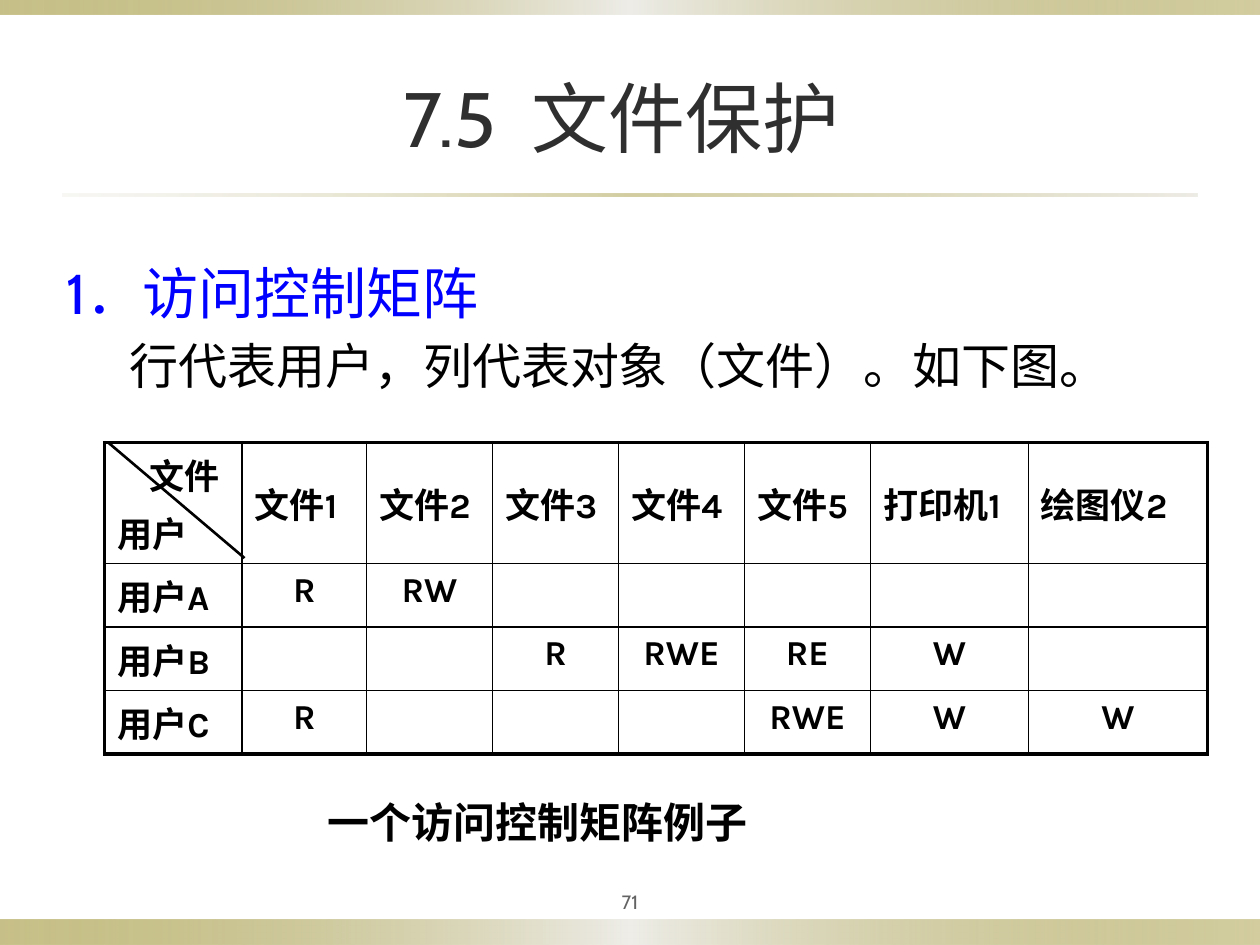
from pptx import Presentation
from pptx.dml.color import RGBColor
from pptx.enum.shapes import MSO_CONNECTOR, MSO_SHAPE
from pptx.enum.text import MSO_ANCHOR, MSO_AUTO_SIZE, PP_ALIGN
from pptx.oxml import parse_xml
from pptx.oxml.ns import nsdecls
from pptx.util import Cm, Pt
from lxml import etree

LEFT, CENTER = PP_ALIGN.LEFT, PP_ALIGN.CENTER
TOP, MIDDLE = MSO_ANCHOR.TOP, MSO_ANCHOR.MIDDLE
RECT, LINE = MSO_SHAPE.RECTANGLE, MSO_CONNECTOR.STRAIGHT
FIXED = MSO_AUTO_SIZE.NONE
BLACK = RGBColor(0, 0, 0)
BLUE = RGBColor(0, 0, 255)
DARK = RGBColor(0x2F, 0x2F, 0x2F)
GRAY = RGBColor(0x63, 0x63, 0x63)
NS = nsdecls("a")
HAN = "Noto Sans CJK SC"


def write(par, text, form, align=LEFT, before=0, left=0, indent=0):
    run = par.add_run()
    run.text = text
    for name, value in form.items():
        if name == "color":
            run.font.color.rgb = value
        else:
            setattr(run.font, name, value)
    run.font._element.append(parse_xml(f'<a:ea {NS} typeface="{HAN}"/>'))
    par.alignment = align
    par.space_before = Pt(before)
    props = par._p.get_or_add_pPr()
    props.set("marL", str(Cm(left)))
    props.set("indent", str(Cm(indent)))
    props.append(parse_xml(f"<a:buNone {NS}/>"))


def place(shape, left, top, width, height):
    shape.left, shape.top = Cm(left), Cm(top)
    shape.width, shape.height = Cm(width), Cm(height)
    frame = shape.text_frame
    frame.word_wrap = True
    frame.auto_size = FIXED
    return frame


deck = Presentation()
deck.slide_width, deck.slide_height = Cm(25.4), Cm(19.05)
slide = deck.slides.add_slide(deck.slide_layouts[1])
shapes = slide.shapes

EDGE = [("918415", 50), ("EEEDE8", 100), ("918415", 40)]
RULE = [("DCD9CC", 20), ("918415", 40), ("DCD9CC", 50)]
bands = [
    (0, 18.54, 25.4, 0.51, EDGE),
    (0, 0, 25.4, 0.3, EDGE),
    (1.27, 3.91, 22.86, 0.05, RULE),
]
for left, top, width, height, stops in bands:
    band = shapes.add_shape(RECT, Cm(left), Cm(top), Cm(width), Cm(height))
    band.shadow.inherit = False
    band.line.fill.background()
    marks = "".join(
        f'<a:gs pos="{i * 50000}"><a:srgbClr val="{tone}">'
        f'<a:alpha val="{alpha * 1000}"/></a:srgbClr></a:gs>'
        for i, (tone, alpha) in enumerate(stops)
    )
    band._element.spPr.insert(2, parse_xml(
        f'<a:gradFill {NS}><a:gsLst>{marks}</a:gsLst><a:lin ang="0"/></a:gradFill>'
    ))

title = place(shapes.title, 1.27, 0.76, 22.86, 3.18)
title.vertical_anchor = MIDDLE
write(title.paragraphs[0], "7.5  文件保护 ",
      {"size": Pt(44), "name": "Cabin", "color": DARK}, CENTER)

body = place(slide.placeholders[1], 1.09, 5.08, 23.67, 3.38)
write(body.paragraphs[0], "1．访问控制矩阵",
      {"size": Pt(32), "name": "Cabin", "color": BLUE}, LEFT, 6.4, 0.95, -0.95)
point = body.add_paragraph()
point.level = 1
write(point, "行代表用户，列代表对象（文件）。如下图。",
      {"size": Pt(28), "name": HAN, "color": BLACK}, LEFT, 5.6, 2.06, -0.79)

number = place(shapes.add_textbox(0, 0, 0, 0), 11.43, 17.78, 2.54, 0.79)
number.vertical_anchor = MIDDLE
for side in ("left", "top", "right", "bottom"):
    setattr(number, f"margin_{side}", Cm(0.13))
write(number.paragraphs[0], "71",
      {"size": Pt(11), "name": "Cabin", "color": GRAY}, CENTER)

rows = [
    ["文件\n用户", "文件1", "文件2", "文件3", "文件4", "文件5", "打印机1", "绘图仪2"],
    ["用户A", "R", "RW", "", "", "", "", ""],
    ["用户B", "", "", "R", "RWE", "RE", "W", ""],
    ["用户C", "R", "", "", "", "RWE", "W", "W"],
]
wide = [2.77, 2.51, 2.54, 2.54, 2.54, 2.54, 3.18, 3.61]
high = [2.34, 1.19, 1.17, 1.12]
grid = shapes.add_table(len(high), len(wide), Cm(2.11), Cm(8.92),
                        Cm(sum(wide)), Cm(sum(high))).table
grid.first_row = grid.horz_banding = False
for col, width in zip(grid.columns, wide):
    col.width = Cm(width)
for row, height in zip(grid.rows, high):
    row.height = Cm(height)

form = {"size": Pt(20), "name": "Karla", "bold": True, "color": BLACK}
for r, row in enumerate(rows):
    for c, text in enumerate(row):
        cell = grid.cell(r, c)
        cell.fill.background()
        cell.vertical_anchor = MIDDLE if r == 0 and c else TOP
        align = CENTER if r and c else LEFT
        lines = text.split("\n")
        for i, line in enumerate(lines):
            frame = cell.text_frame
            par = frame.add_paragraph() if i else frame.paragraphs[0]
            left = 0.64 if i < len(lines) - 1 else 0
            if line:
                write(par, line, form, align, 4, left)
            else:
                par.font.size = Pt(20)
        outer = {"L": c == 0, "R": c == len(wide) - 1,
                 "T": r == 0, "B": r == len(high) - 1}
        props = cell._tc.get_or_add_tcPr()
        for i, (side, thick) in enumerate(outer.items()):
            props.insert(i, parse_xml(
                f'<a:ln{side} {NS} w="{Pt(2.25 if thick else 1)}"><a:solidFill>'
                f'<a:srgbClr val="{BLACK}"/></a:solidFill></a:ln{side}>'
            ))

slash = shapes.add_connector(LINE, Cm(2.18), Cm(8.92), Cm(4.93), Cm(11.25))
slash.line.color.rgb = BLACK
slash.line.width = Pt(1.5)
etree.SubElement(slash._element.spPr,
                 "{http://schemas.openxmlformats.org/drawingml/2006/main}effectLst")

note = place(shapes.add_textbox(0, 0, 0, 0), 6.35, 15.93, 12.9, 1.27)
write(note.paragraphs[0], "一个访问控制矩阵例子",
      {"size": Pt(24), "name": HAN, "bold": True, "color": BLACK}, LEFT, 12)

deck.save("out.pptx")
